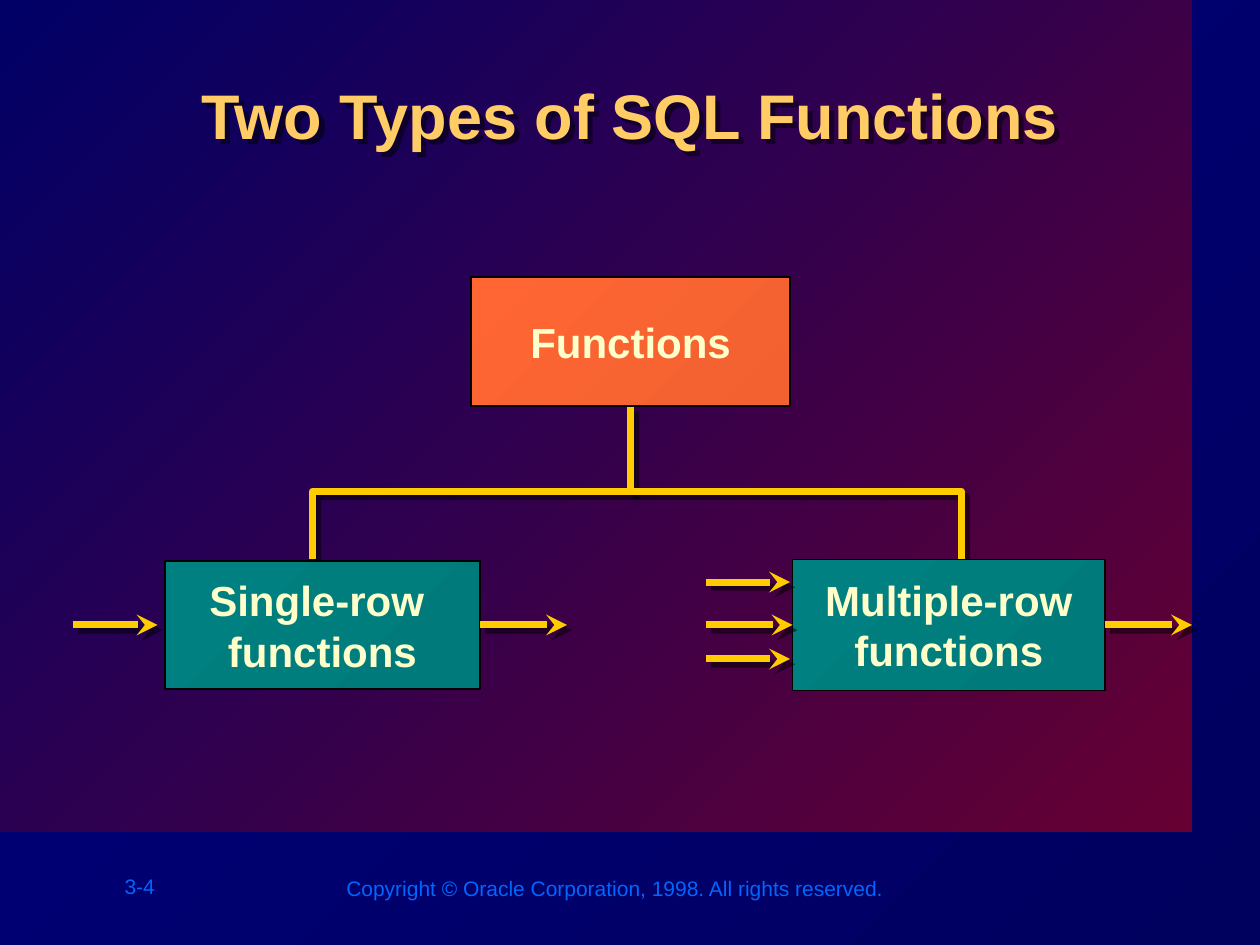
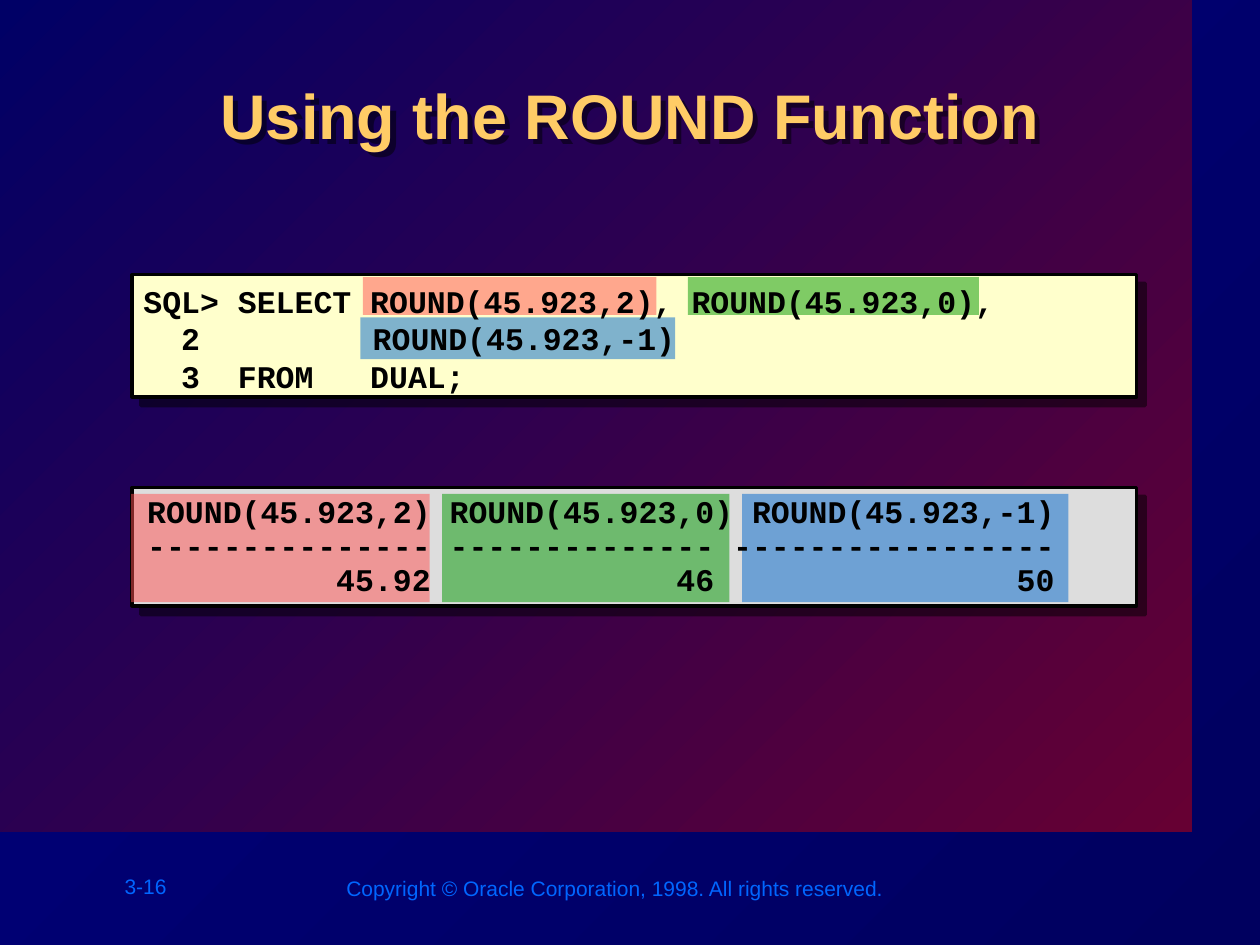
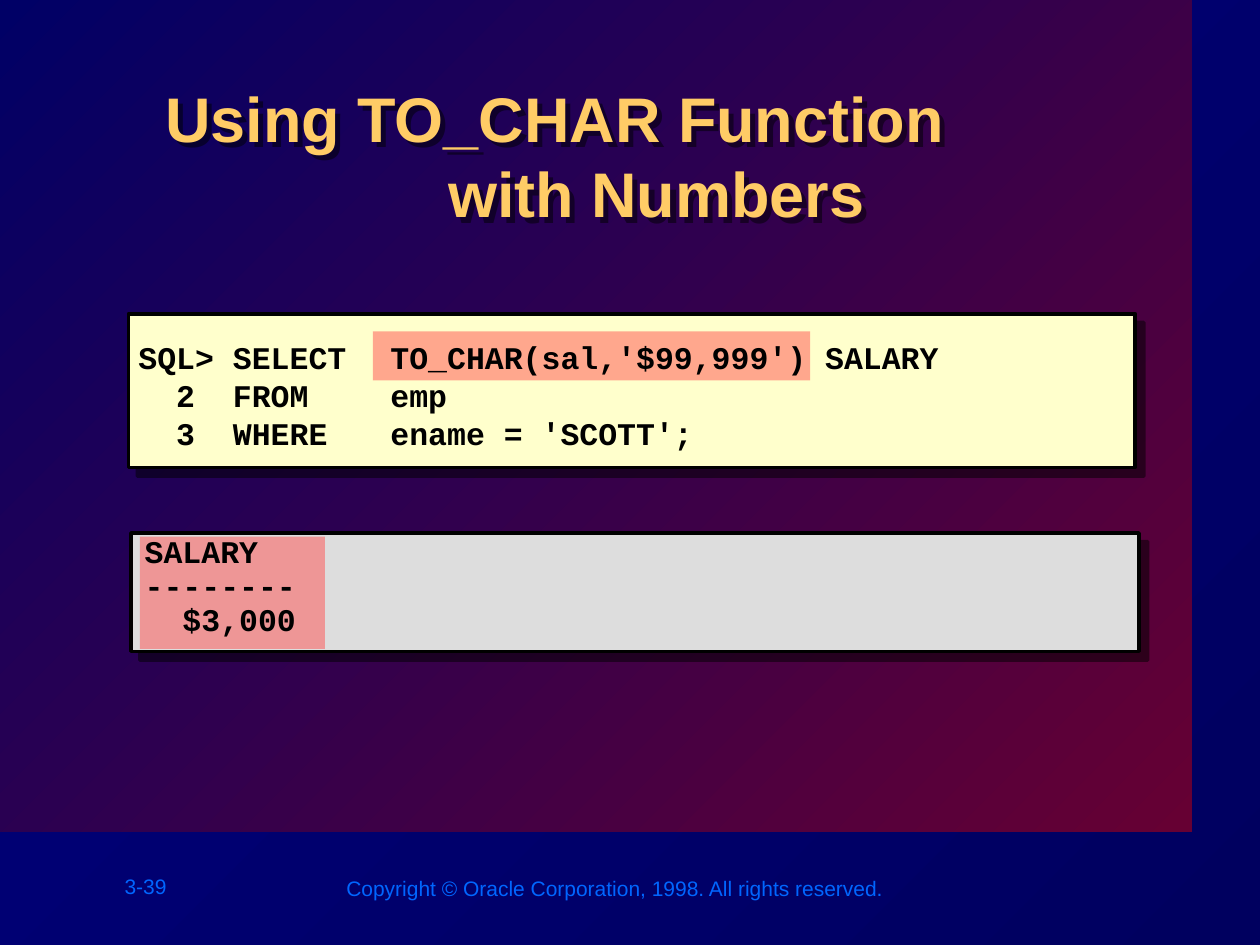
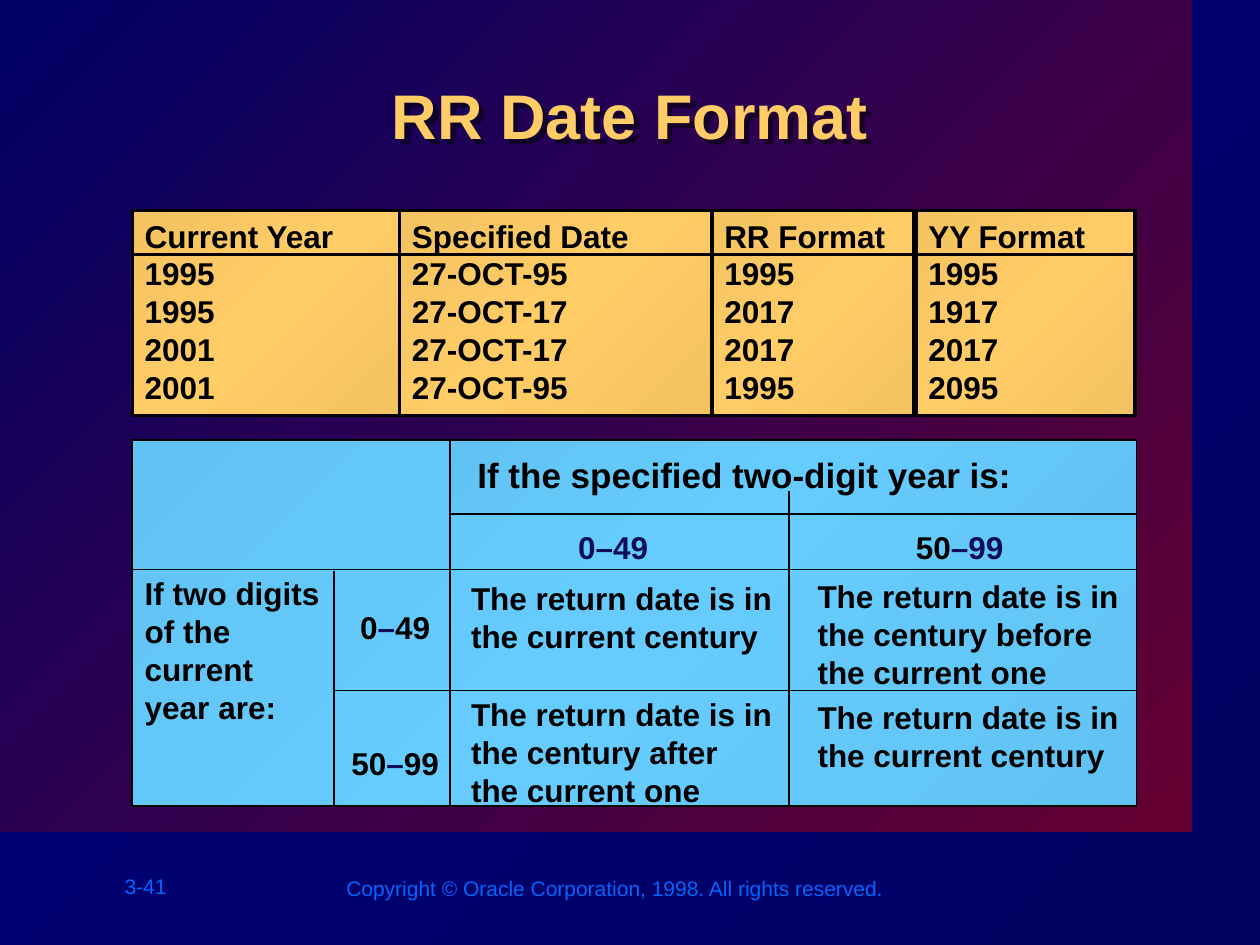
from dataclasses import dataclass

from lxml.etree import SubElement
from pptx import Presentation
from pptx.dml.color import RGBColor
from pptx.enum.shapes import MSO_CONNECTOR, MSO_SHAPE
from pptx.enum.text import MSO_ANCHOR, MSO_AUTO_SIZE, PP_ALIGN
from pptx.oxml.ns import qn
from pptx.util import Inches, Pt


@dataclass(frozen=True)
class Theme:
    sans: str = "Arial"
    mono: str = "Courier New"
    title_size: int = 36
    diagram_size: int = 24
    heading_size: int = 20
    text_size: int = 18
    footer_size: int = 12
    backdrop: tuple = ("000080", "00005F")
    band: tuple = ("000066", "660033")
    orange: tuple = ("FF6633", "F36131")
    teal: tuple = ("008080", "007A7A")
    gold: tuple = ("F3C361", "FFCC66", "F3C361")
    sky: tuple = ("61C3F3", "66CCFF", "61C3F3")
    title: str = "FFCC66"
    footer: str = "0066FF"
    label: str = "FFFFCC"
    wire: str = "FFCC00"
    code: str = "FFFFCC"
    result: str = "DDDDDD"
    black: str = "000000"
    navy: str = "0E0E58"
    red: str = "FF5050"
    green: str = "009900"
    blue: str = "0066CC"
    wire_shadow: float = 4.2
    panel_shadow: float = 7.1


THEME = Theme()
TITLE_BOX = (1.01, 0.56, 7.98, 0.96)
COPYRIGHT = "Copyright © Oracle Corporation, 1998. All rights reserved."

ROOT = ("Functions", (3.74, 2.2, 2.53, 1.02), THEME.orange)
BRANCHES = {
    "single": ("Single-row \nfunctions", (1.31, 4.45, 2.5, 1.02), THEME.teal),
    "multiple": ("Multiple-row\nfunctions", (6.29, 4.44, 2.48, 1.04), THEME.teal),
}
TRUNK_BOTTOM = 3.92
BRACKET = [(2.48, 4.44), (2.48, 3.9), (7.63, 3.9), (7.63, 4.48)]
ARROW_LENGTH = 0.67
ARROWS = [
    (0.58, 4.96, None, None),
    (3.83, 4.96, "single", "out"),
    (5.6, 4.62, None, None),
    (5.6, 4.96, "multiple", "in"),
    (5.6, 5.23, None, None),
    (8.79, 4.96, "multiple", "out"),
]

ROUND_PAGE = {
    "panels": [((1.05, 3.87, 7.97, 0.94), THEME.result), ((1.05, 2.18, 7.97, 0.97), THEME.code)],
    "highlights": [
        ((1.04, 3.92, 2.37, 0.86), THEME.red),
        ((2.88, 2.2, 2.33, 0.3), THEME.red),
        ((3.51, 3.92, 2.28, 0.86), THEME.green),
        ((5.46, 2.2, 2.31, 0.3), THEME.green),
        ((5.89, 3.92, 2.59, 0.86), THEME.blue),
        ((2.86, 2.52, 2.5, 0.33), THEME.blue),
    ],
    "query_box": (1.04, 1.82, 8, 1.73),
    "tabs": (1.31, 1.82),
    "query": [
        "SQL> SELECT ROUND(45.923,2), ROUND(45.923,0),",
        "  2  \t\tROUND(45.923,-1)",
        "  3  FROM   DUAL;",
    ],
    "result_box": (1.07, 3.89, 7.94, 0.91),
    "result": [
        "ROUND(45.923,2) ROUND(45.923,0) ROUND(45.923,-1)",
        "--------------- -------------- -----------------",
        "          45.92             46                50",
    ],
}

TO_CHAR_PAGE = {
    "panels": [((1.02, 2.49, 7.99, 1.22), THEME.code), ((1.04, 4.23, 8, 0.94), THEME.result)],
    "highlights": [
        ((2.96, 2.63, 3.47, 0.39), THEME.red),
        ((1.11, 4.26, 1.47, 0.89), THEME.red),
    ],
    "query_box": (1, 2.35, 8.02, 1.57),
    "tabs": (2,),
    "query": [
        "SQL> SELECT\tTO_CHAR(sal,'$99,999') SALARY",
        "  2  FROM\temp",
        "  3  WHERE\tename = 'SCOTT';",
    ],
    "result_box": (1.05, 4.21, 7.94, 0.91),
    "result": ["SALARY", "--------", "  $3,000"],
}

YEAR_TOP, YEAR_HEIGHT = 1.67, 1.63
YEAR_COLUMNS = [
    (1.05, 2.12, ["Current Year", "1995", "1995", "2001", "2001"]),
    (3.17, 2.48, ["Specified Date", "27-OCT-95", "27-OCT-17", "27-OCT-17", "27-OCT-95"]),
    (5.65, 1.6, ["RR Format", "1995", "2017", "2017", "1995"]),
    (7.27, 1.74, ["YY Format", "1995", "1917", "2017", "2095"]),
]
YEAR_RULE = (1.04, 2.02, 9.02, 2.02)

RULE_PANELS = [(1.05, 3.49, 7.97, 2.91), (3.57, 3.49, 5.45, 0.59)]
RULE_LINES = [
    (1.04, 4.52, 9.02, 4.52),
    (2.66, 5.48, 9.02, 5.48),
    (2.65, 4.53, 2.65, 6.4),
    (3.57, 3.9, 3.57, 6.39),
    (6.26, 3.9, 6.26, 6.39),
]
RULE_HEADING = ((3.69, 3.55, 4.48, 0.43), "If the specified two-digit year is:")
RULE_TEXTS = [
    ((1.05, 4.51, 1.71, 1.3), "If two digits of the current \vyear are:"),
    ((3.64, 4.55, 2.69, 0.7), "The return date is in the current century"),
    ((3.64, 5.47, 2.59, 1), "The return date is in the century after the current one"),
    ((6.39, 4.53, 2.69, 1), "The return date is in the century before the current one"),
    ((6.39, 5.49, 2.69, 0.7), "The return date is in the current century"),
]
RULE_RANGES = [
    ((2.76, 4.78, 1.04, 0.4), [("0", THEME.black), ("–", THEME.navy), ("49", THEME.black)]),
    ((4.49, 4.14, 1.28, 0.4), [("0–49", THEME.navy)]),
    ((7.17, 4.14, 1.26, 0.4), [("50", THEME.black), ("–99", THEME.navy)]),
    ((2.69, 5.86, 1.27, 0.4), [("50", THEME.black), ("–", THEME.navy), ("99", THEME.black)]),
]


def rgb(color):
    return RGBColor.from_string(color)


def place(box):
    return [Inches(length) for length in box]


def paint(fill, owner, colors):
    if isinstance(colors, str):
        fill.solid()
        fill.fore_color.rgb = rgb(colors)
        return
    fill.gradient()
    fill.gradient_angle = 315
    stops = next(owner.iter(qn("a:gsLst")))
    stops.clear()
    for index, color in enumerate(colors):
        position = 100000 * index // (len(colors) - 1)
        stop = SubElement(stops, qn("a:gs"), pos=str(position))
        SubElement(stop, qn("a:srgbClr"), val=color)


def set_shadow(shape, distance=None):
    properties = shape.element.spPr
    effects = properties.find(qn("a:effectLst"))
    if effects is None:
        effects = SubElement(properties, qn("a:effectLst"))
    if distance:
        shadow = SubElement(effects, qn("a:outerShdw"), dist=str(Pt(distance)),
                            dir="2700000", algn="ctr", rotWithShape="0")
        color = SubElement(shadow, qn("a:srgbClr"), val=THEME.black)
        SubElement(color, qn("a:alpha"), val="50000")


def stroke(shape, color, width):
    shape.line.color.rgb = rgb(color)
    shape.line.width = Pt(width)


def add_rectangle(page, box, colors, border=None, shadow=None):
    shape = page.shapes.add_shape(MSO_SHAPE.RECTANGLE, *place(box))
    shape.shadow.inherit = False
    paint(shape.fill, shape.element.spPr, colors)
    if border:
        stroke(shape, THEME.black, border)
    else:
        shape.line.fill.background()
    set_shadow(shape, shadow)
    return shape


def add_highlight(page, box, color):
    shape = add_rectangle(page, box, color)
    tint = next(shape.element.spPr.iter(qn("a:srgbClr")))
    SubElement(tint, qn("a:alpha"), val="50000")


def add_line(page, ends, color, width, shadow=None):
    line = page.shapes.add_connector(MSO_CONNECTOR.STRAIGHT, *place(ends))
    stroke(line, color, width)
    set_shadow(line, shadow)
    return line


def style(para, size, color=None, font=THEME.sans, bold=True):
    para.font.name = font
    para.font.size = Pt(size)
    para.font.bold = bold
    if color:
        para.font.color.rgb = rgb(color)


def write(shape, lines, size=THEME.text_size, color=THEME.black, font=THEME.sans, bold=True,
          align=PP_ALIGN.LEFT, anchor=MSO_ANCHOR.TOP, wrap=True, spacing=None, tabs=()):
    frame = shape.text_frame
    frame.word_wrap = wrap
    frame.auto_size = MSO_AUTO_SIZE.NONE
    frame.vertical_anchor = anchor
    for index, line in enumerate(lines):
        para = frame.add_paragraph() if index else frame.paragraphs[0]
        para.text = line
        para.alignment = align
        if spacing:
            para.line_spacing = spacing
        if tabs:
            stops = SubElement(para._p.get_or_add_pPr(), qn("a:tabLst"))
            for tab in tabs:
                SubElement(stops, qn("a:tab"), pos=str(Inches(tab)), algn="l")
        style(para, size, color, font, bold)


def add_text(page, box, lines, **options):
    shape = page.shapes.add_textbox(*place(box))
    write(shape, lines, **options)
    return shape


def add_footer(page, box, text):
    return add_text(page, box, [text], size=THEME.footer_size, color=THEME.footer,
                    bold=False, wrap=False)


def dress_layout(layout, page):
    band = add_rectangle(page, (0, 0, 9.46, 6.6), THEME.band)
    notice = add_footer(page, (2.65, 6.9, 4.49, 0.3), COPYRIGHT)
    layout.shapes.element.insert(2, band.element)
    layout.shapes.element.insert(3, notice.element)


def set_title(page, lines, box=TITLE_BOX):
    title = page.shapes.title
    title.left, title.top, title.width, title.height = place(box)
    write(title, lines, size=THEME.title_size, color=THEME.title, align=PP_ALIGN.CENTER)
    set_shadow(title, THEME.wire_shadow)
    return title


def add_node(page, text, box, colors):
    node = add_rectangle(page, box, colors, border=1)
    write(node, text.split("\n"), size=THEME.diagram_size, color=THEME.label,
          align=PP_ALIGN.CENTER, anchor=MSO_ANCHOR.MIDDLE, wrap=False)
    return node


def add_wire(page, ends):
    return add_line(page, ends, THEME.wire, 4, THEME.wire_shadow)


def draw_function_types(page):
    set_title(page, ["Two Types of SQL Functions"])
    trunk = add_wire(page, (5, TRUNK_BOTTOM, 5, 3.22))
    corners = [place(point) for point in BRACKET]
    builder = page.shapes.build_freeform(*corners[0])
    builder.add_line_segments(corners[1:], close=False)
    bracket = builder.convert_to_shape()
    bracket.shadow.inherit = False
    bracket.fill.background()
    stroke(bracket, THEME.wire, 4)
    set_shadow(bracket, THEME.wire_shadow)

    root = add_node(page, *ROOT)
    trunk.end_connect(root, 2)
    trunk.begin_x = trunk.end_x
    nodes = {name: add_node(page, *branch) for name, branch in BRANCHES.items()}
    for left, y, name, direction in ARROWS:
        arrow = add_wire(page, (left, y, left + ARROW_LENGTH, y))
        SubElement(arrow.line._get_or_add_ln(), qn("a:tailEnd"), type="stealth")
        if direction == "out":
            arrow.begin_connect(nodes[name], 3)
        elif direction == "in":
            arrow.end_connect(nodes[name], 1)


def draw_code(page, content):
    for box, color in content["panels"]:
        add_rectangle(page, box, color, border=2, shadow=THEME.panel_shadow)
    for box, color in content["highlights"]:
        add_highlight(page, box, color)
    add_text(page, content["query_box"], content["query"], font=THEME.mono,
             anchor=MSO_ANCHOR.MIDDLE, tabs=content["tabs"])
    add_text(page, content["result_box"], content["result"], font=THEME.mono, spacing=0.9)


def draw_round(page):
    set_title(page, ["Using the ROUND Function"])
    draw_code(page, ROUND_PAGE)


def draw_to_char(page):
    title = set_title(page, ["Using TO_CHAR Function", "with Numbers"], (0.76, 0.58, 8.45, 0.96))
    first = title.text_frame.paragraphs[0]
    first.alignment = PP_ALIGN.LEFT
    first._p.get_or_add_pPr().set("marL", str(Inches(0.45)))
    title.text_frame.paragraphs[1].space_before = Pt(0)
    draw_code(page, TO_CHAR_PAGE)


def draw_date_format(page):
    set_title(page, ["RR Date Format"])
    for left, width, lines in YEAR_COLUMNS:
        column = add_rectangle(page, (left, YEAR_TOP, width, YEAR_HEIGHT), THEME.gold, border=2)
        write(column, lines)
    add_line(page, YEAR_RULE, THEME.black, 2)

    for box in RULE_PANELS:
        add_rectangle(page, box, THEME.sky, border=1)
    for ends in RULE_LINES:
        add_line(page, ends, THEME.black, 1)
    box, heading = RULE_HEADING
    add_text(page, box, [heading], size=THEME.heading_size)
    for box, text in RULE_TEXTS:
        add_text(page, box, [text])
    for box, spans in RULE_RANGES:
        para = add_text(page, box, [""]).text_frame.paragraphs[0]
        for text, color in spans:
            span = para.add_run()
            span.text = text
            span.font.color.rgb = rgb(color)


PAGES = [
    ("3-4", draw_function_types),
    ("3-16", draw_round),
    ("3-39", draw_to_char),
    ("3-41", draw_date_format),
]


def main():
    deck = Presentation()
    deck.slide_width, deck.slide_height = Inches(10), Inches(7.5)
    master = deck.slide_master
    paint(master.background.fill, master.element, THEME.backdrop)
    layout = deck.slide_layouts[5]
    for index, (number, draw) in enumerate(PAGES):
        page = deck.slides.add_slide(layout)
        if index == 0:
            dress_layout(layout, page)
        add_footer(page, (0.89, 6.88, 0.55, 0.3), number)
        draw(page)
    deck.save("out.pptx")


if __name__ == "__main__":
    main()
